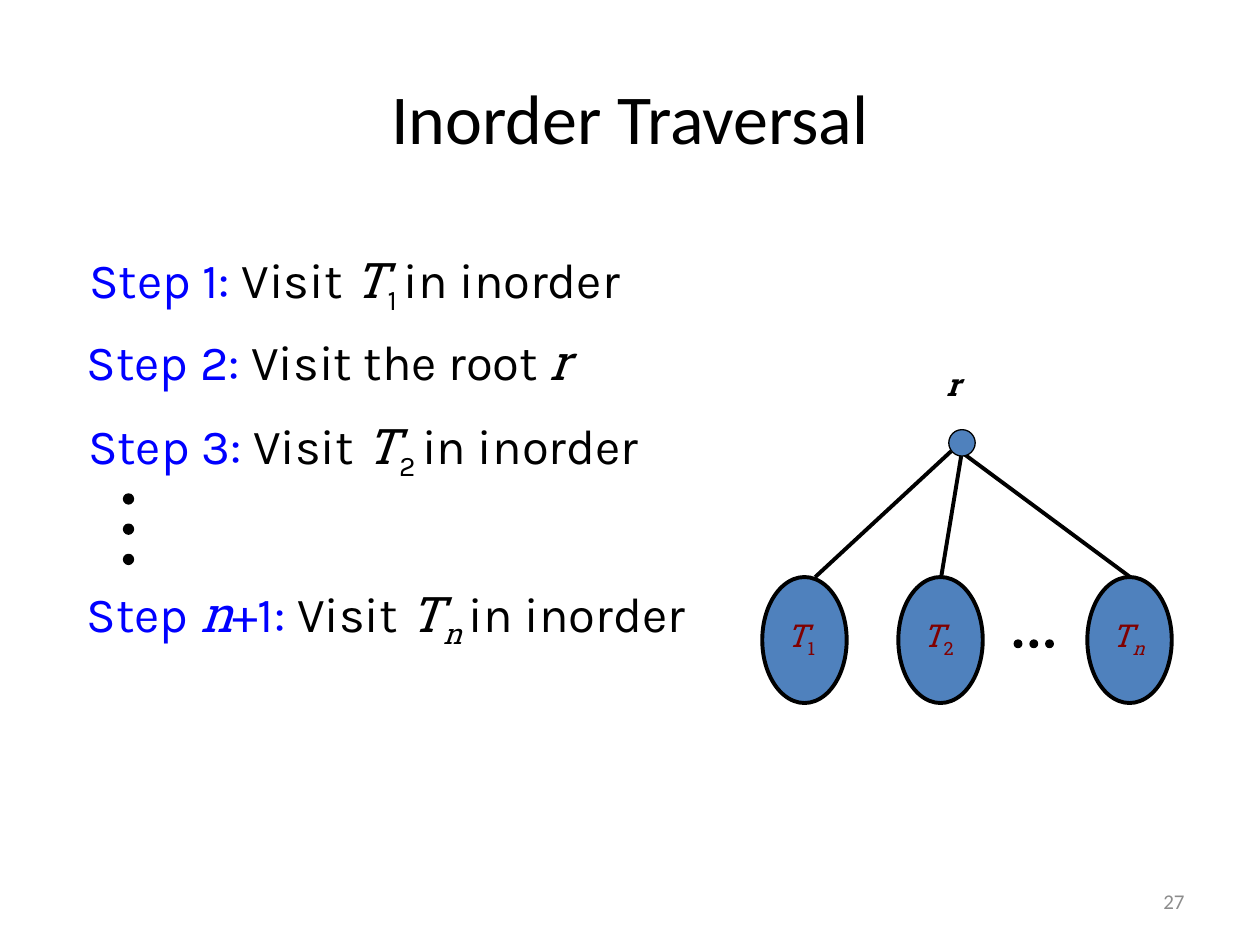
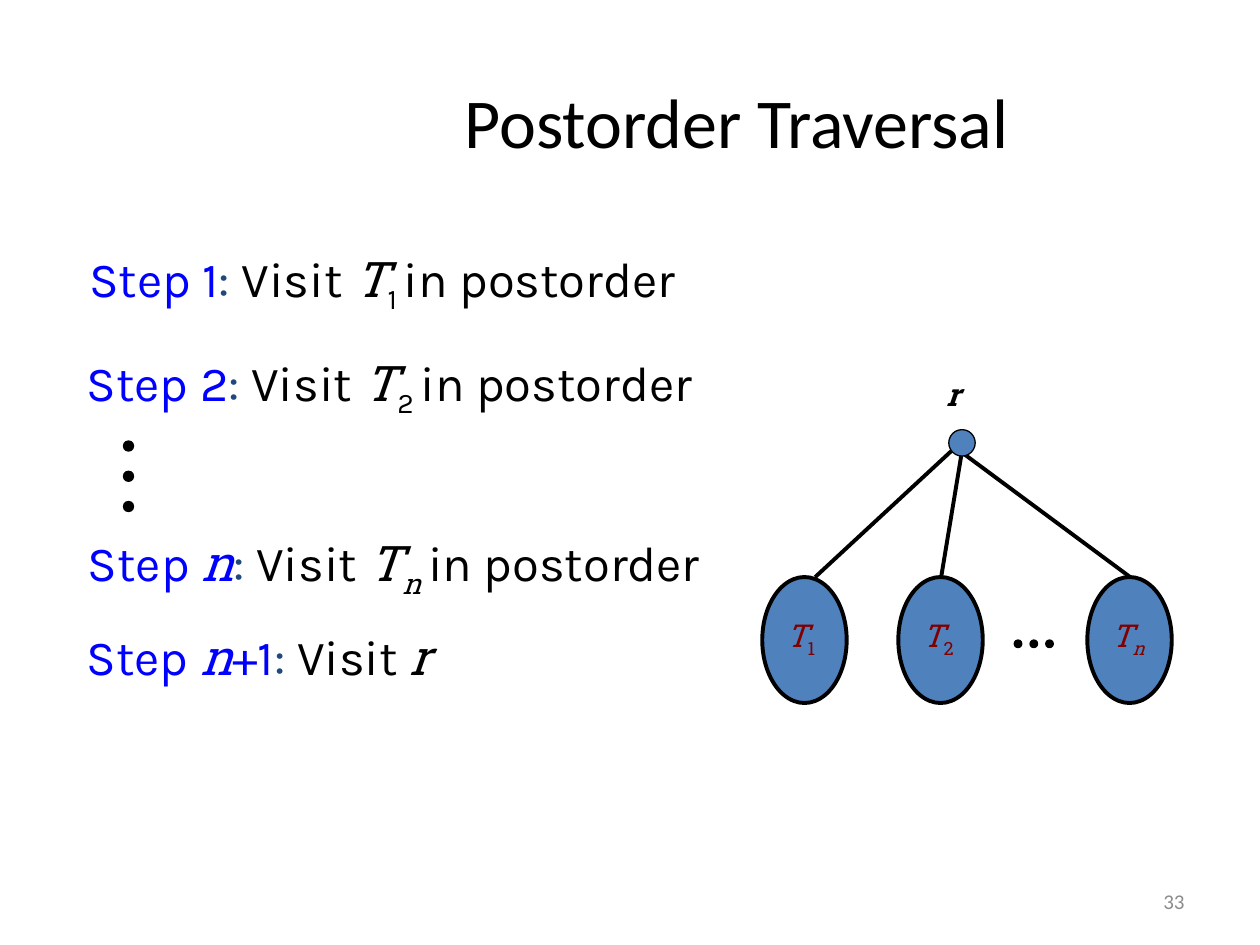
from dataclasses import dataclass

from lxml.etree import SubElement
from pptx import Presentation
from pptx.dml.color import RGBColor
from pptx.enum.shapes import MSO_CONNECTOR, MSO_SHAPE
from pptx.enum.text import MSO_ANCHOR, MSO_AUTO_SIZE, PP_ALIGN
from pptx.oxml.ns import qn
from pptx.util import Inches, Pt

TITLE_ONLY = 5
COLUMNS, ROWS = 100, 75


@dataclass(frozen=True)
class Theme:
    black: str = "000000"
    step: str = "0000FF"
    colon: str = "1F497D"
    node: str = "4F81BD"
    subtree: str = "800000"
    number: str = "8C8C8C"
    heading_font: str = "Calibri"
    body_font: str = "Karla"
    math_font: str = "Roboto Slab"
    title_size: int = 40
    body_size: int = 28
    label_size: int = 18
    number_size: int = 12
    thin: float = 0.75
    thick: float = 2.25


THEME = Theme()


def write(paragraph, text, font=THEME.body_font, size=THEME.body_size,
          color=THEME.black, bold=False, italic=False, subscript=False):
    """Append one formatted run to the paragraph."""
    run = paragraph.add_run()
    run.text = text
    run.font.name = font
    run.font.size = Pt(size)
    run.font.bold = bold
    run.font.italic = italic
    run.font.color.rgb = RGBColor.from_string(color)
    if subscript:
        run._r.get_or_add_rPr().set("baseline", "-25000")


# Pieces of text: each is a (text, format) pair
def plain(text, **style):
    return text, style


def variable(text, **style):
    return text, {"font": THEME.math_font, "italic": True, **style}


def step(*name, colon=THEME.step):
    """The coloured lead-in of one step, such as 'Step n+1:'."""
    pieces = [plain("Step ", color=THEME.step)]
    for part in name:
        make = variable if part == "n" else plain
        pieces.append(make(part, color=THEME.step))
    return pieces + [plain(": ", color=colon)]


def visit_subtree(index, order):
    make = variable if index == "n" else plain
    return [plain("Visit "), variable("T"),
            make(f"{index} ", subscript=True), plain(f"in {order}")]


class Deck:
    """Holds the theme and the current slide; lengths are grid units."""

    def __init__(self, theme):
        self.theme = theme
        self.presentation = Presentation()
        self.presentation.slide_width = Inches(10)
        self.presentation.slide_height = Inches(7.5)
        self.slide = None

    def x(self, columns):
        return round(self.presentation.slide_width * columns / COLUMNS)

    def y(self, rows):
        return round(self.presentation.slide_height * rows / ROWS)

    def box(self, left, top, width, height):
        return self.x(left), self.y(top), self.x(width), self.y(height)

    def new_slide(self, title, title_box, number):
        layout = self.presentation.slide_layouts[TITLE_ONLY]
        self.slide = self.presentation.slides.add_slide(layout)
        shape = self.slide.shapes.title
        shape.left, shape.top, shape.width, shape.height = self.box(*title_box)
        shape.text_frame.vertical_anchor = MSO_ANCHOR.MIDDLE
        paragraph = shape.text_frame.paragraphs[0]
        paragraph.alignment = PP_ALIGN.CENTER
        write(paragraph, title, font=self.theme.heading_font,
              size=self.theme.title_size)
        # Page number
        page = plain(str(number), font=self.theme.heading_font,
                     size=self.theme.number_size, color=self.theme.number)
        self.text(71.7, 69.5, 23.3, 4, [page], align=PP_ALIGN.RIGHT,
                  anchor=MSO_ANCHOR.MIDDLE)

    def text(self, left, top, width, height, pieces, align=PP_ALIGN.LEFT,
             anchor=MSO_ANCHOR.TOP, wrap=True):
        shape = self.slide.shapes.add_textbox(*self.box(left, top, width, height))
        frame = shape.text_frame
        frame.word_wrap = wrap
        frame.auto_size = MSO_AUTO_SIZE.NONE
        frame.vertical_anchor = anchor
        paragraph = frame.paragraphs[0]
        paragraph.alignment = align
        for text, style in pieces:
            write(paragraph, text, **style)

    def ellipse(self, left, top, width, height, fill, weight):
        shape = self.slide.shapes.add_shape(
            MSO_SHAPE.OVAL, *self.box(left, top, width, height))
        shape.shadow.inherit = False
        shape.fill.solid()
        shape.fill.fore_color.rgb = RGBColor.from_string(fill)
        shape.line.color.rgb = RGBColor.from_string(self.theme.black)
        shape.line.width = Pt(weight)

    def edge(self, start, end):
        connector = self.slide.shapes.add_connector(
            MSO_CONNECTOR.STRAIGHT, self.x(start[0]), self.y(start[1]),
            self.x(end[0]), self.y(end[1]))
        connector.line.color.rgb = RGBColor.from_string(self.theme.black)
        connector.line.width = Pt(self.theme.thick)
        SubElement(connector._element.spPr, qn("a:effectLst"))

    def dots(self, left, top, size, right_step=0, down_step=0):
        for place in range(3):
            self.ellipse(left + place * right_step, top + place * down_step,
                         size, size, self.theme.black, self.theme.thin)

    def steps(self, lines, dots_top):
        for left, top, width, pieces in lines:
            self.text(left, top, width, 5.7, pieces)
        self.dots(9.8, dots_top, 0.8, down_step=2.4)

    def tree(self, root_label_top):
        theme = self.theme
        # Subtrees, each with its edge from the root
        subtree_top = 45.8
        subtrees = [("1", 60.5, (75.5, 35.8), 64.7),
                    ("2", 71.3, (76.3, 36.1), 74.7),
                    ("n", 86.3, (76.6, 36.1), 89.7)]
        label = {"size": theme.label_size, "color": theme.subtree}
        for index, left, start, end in subtrees:
            self.edge(start, (end, subtree_top))
            self.ellipse(left, subtree_top, 6.7, 10, theme.node, theme.thick)
            pieces = [variable("T", **label),
                      variable(index, italic=index == "n", subscript=True, **label)]
            self.text(left + 0.9, 48.4, 5.4, 5, pieces, wrap=False)
        self.dots(80.5, 50.8, 0.6, right_step=1.25)
        # Root
        self.text(74.1, root_label_top, 3.3, 4,
                  [variable("r", size=theme.label_size, bold=True)], wrap=False)
        self.ellipse(75.3, 34.1, 2.1, 2.1, theme.node, theme.thin)


def main():
    deck = Deck(THEME)

    # Inorder: the root comes after the first subtree
    deck.new_slide("Inorder Traversal", (5, 3, 90, 12.5), 27)
    deck.steps([
        (6.1, 19.3, 48.7, step("1") + visit_subtree("1", "inorder")),
        (5.9, 25.8, 45.1, step("2") + [plain("Visit the root "), variable("r")]),
        (6, 32.5, 49.1, step("3") + visit_subtree("2", "inorder")),
        (5.9, 45.8, 54.8, step("n", "+1") + visit_subtree("n", "inorder")),
    ], dots_top=39.2)
    deck.tree(root_label_top=28.5)

    # Postorder: the root comes last
    deck.new_slide("Postorder Traversal", (17.5, 3.4, 81.9, 12.3), 33)
    colon = THEME.colon
    deck.steps([
        (6.1, 19.2, 52.2, step("1", colon=colon) + visit_subtree("1", "postorder")),
        (5.9, 27.5, 52.4, step("2", colon=colon) + visit_subtree("2", "postorder")),
        (6, 41.8, 51.6, step("n", colon=colon) + visit_subtree("n", "postorder")),
        (5.9, 49.2, 45.4, step("n", "+1", colon=colon)
         + [plain("Visit "), variable("r")]),
    ], dots_top=35)
    deck.tree(root_label_top=29.3)

    deck.presentation.save("out.pptx")


if __name__ == "__main__":
    main()
